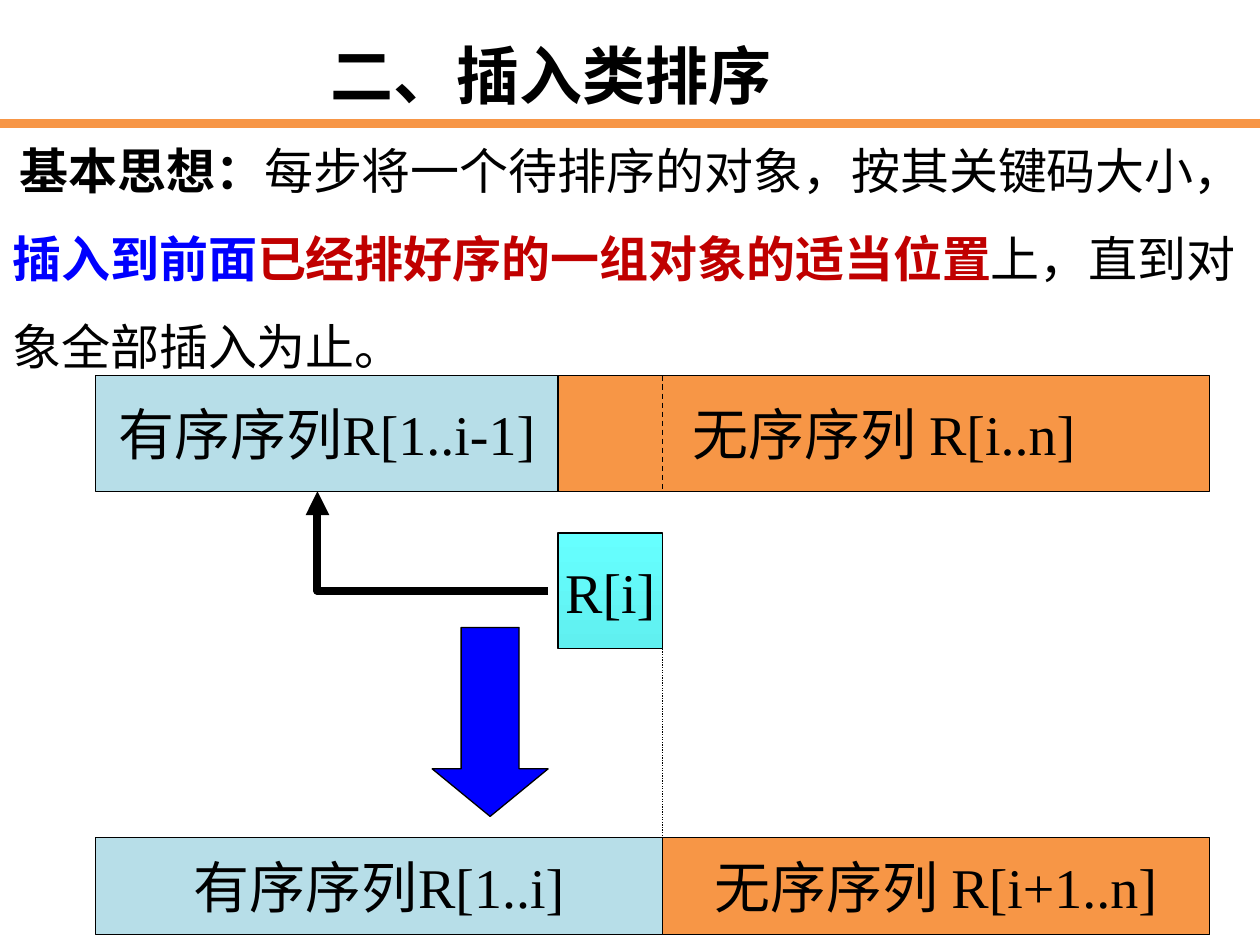
from lxml.etree import SubElement
from pptx import Presentation
from pptx.dml.color import RGBColor
from pptx.enum.dml import MSO_LINE
from pptx.enum.shapes import MSO_CONNECTOR as LINK, MSO_SHAPE as SHAPE
from pptx.enum.text import MSO_ANCHOR, PP_ALIGN
from pptx.oxml.ns import qn
from pptx.util import Inches, Pt

COLORS = {name: RGBColor.from_string(value) for name, value in {
    "black": "000000", "blue": "0000FF", "red": "C00000", "orange": "F79646",
    "pale": "B7DEE8", "cyan": "66FFFF", "teal": "60F0F0"}.items()}
CJK = "Noto Sans CJK SC"


def style_font(font, latin, size, color="black", bold=False):
    font.name, font.size, font.bold = latin, Pt(size), bold
    font.color.rgb = COLORS[color]
    SubElement(font._element, qn("a:ea"), typeface=CJK)


def add_line(start, end, color, width, kind=LINK.STRAIGHT, dash=None):
    line = slide.shapes.add_connector(kind, *map(Inches, start + end))
    line.line.color.rgb = COLORS[color]
    line.line.width = Pt(width)
    if dash:
        line.line.dash_style = dash
    SubElement(line._element.spPr, qn("a:effectLst"))
    return line


prs = Presentation()
prs.slide_width, prs.slide_height = Inches(10), Inches(7.5)
slide = prs.slides.add_slide(prs.slide_layouts[6])

idea = slide.shapes.add_textbox(Inches(0), Inches(0.83), Inches(10), Inches(2.22)).text_frame
idea.word_wrap = True
idea_line = idea.paragraphs[0]
idea_line.line_spacing = 1.5
for words, latin, size, color, bold in [
    (" ", "Calibri", 18, "black", True),
    ("基本思想：", CJK, 28, "black", True),
    ("每步将一个待排序的对象，按其关键码大小，", CJK, 28, "black", False),
    ("插入到前面", CJK, 28, "blue", True),
    ("已经排好序的一组对象的适当位置", CJK, 28, "red", True),
    ("上，直到对象全部插入为止。", CJK, 28, "black", False),
]:
    run = idea_line.add_run()
    run.text = words
    style_font(run.font, latin, size, color, bold)

title = slide.shapes.add_textbox(Inches(1.08), Inches(0.17), Inches(6.58), Inches(1)).text_frame
title.word_wrap = True
title.margin_left = title.margin_right = title.margin_top = title.margin_bottom = 0
heading = title.paragraphs[0]
heading.text = "二、插入类排序"
heading.alignment = PP_ALIGN.CENTER
heading.line_spacing = 1.2
heading.space_before = Pt(7.2)
style_font(heading.font, CJK, 36, bold=True)

add_line((0, 0.98), (10, 0.98), "orange", 5)

left, split, next_split, right = 0.76, 4.43, 5.26, 9.6
before_top, item_top, after_top = 2.98, 4.23, 6.65
row_height, after_height = 0.92, 0.77
for label, x1, x2, top, height, color in [
    ("有序序列R[1..i-1]", left, split, before_top, row_height, "pale"),
    ("R[i]", split, next_split, item_top, row_height, "cyan"),
    ("无序序列 R[i..n]", split, right, before_top, row_height, "orange"),
    ("有序序列R[1..i]", left, next_split, after_top, after_height, "pale"),
    ("无序序列 R[i+1..n]", next_split, right, after_top, after_height, "orange"),
    ("", 3.43, 4.35, 4.98, 1.5, "blue"),
]:
    kind = SHAPE.RECTANGLE if label else SHAPE.DOWN_ARROW
    part = slide.shapes.add_shape(kind, Inches(x1), Inches(top), Inches(x2 - x1), Inches(height))
    part.shadow.inherit = False
    if color == "cyan":
        part.fill.gradient()
        part.fill.gradient_angle = 270
        for stop, shade in zip(part.fill.gradient_stops, ("cyan", "teal")):
            stop.color.rgb = COLORS[shade]
    else:
        part.fill.solid()
        part.fill.fore_color.rgb = COLORS[color]
    part.line.color.rgb = COLORS["black"]
    part.line.width = Pt(0.75)
    if not label:
        part.adjustments[0], part.adjustments[1] = 0.5, 0.41
        continue
    part.text_frame.word_wrap = False
    part.text_frame.vertical_anchor = MSO_ANCHOR.MIDDLE
    caption = part.text_frame.paragraphs[0]
    caption.text = label
    caption.alignment = PP_ALIGN.CENTER
    style_font(caption.font, "Times New Roman", 32)

insertion = add_line((4.35, 4.69), (2.52, 3.9), "black", 4.5, LINK.ELBOW)
insertion._element.spPr.find(qn("a:prstGeom")).set("prst", "bentConnector2")
SubElement(insertion.line._get_or_add_ln(), qn("a:tailEnd"), type="triangle")

add_line((next_split, before_top), (next_split, before_top + row_height), "black", 0.75, dash=MSO_LINE.DASH)
add_line((next_split, item_top + row_height), (next_split, after_top), "black", 0.75, dash=MSO_LINE.ROUND_DOT)

prs.save("out.pptx")
